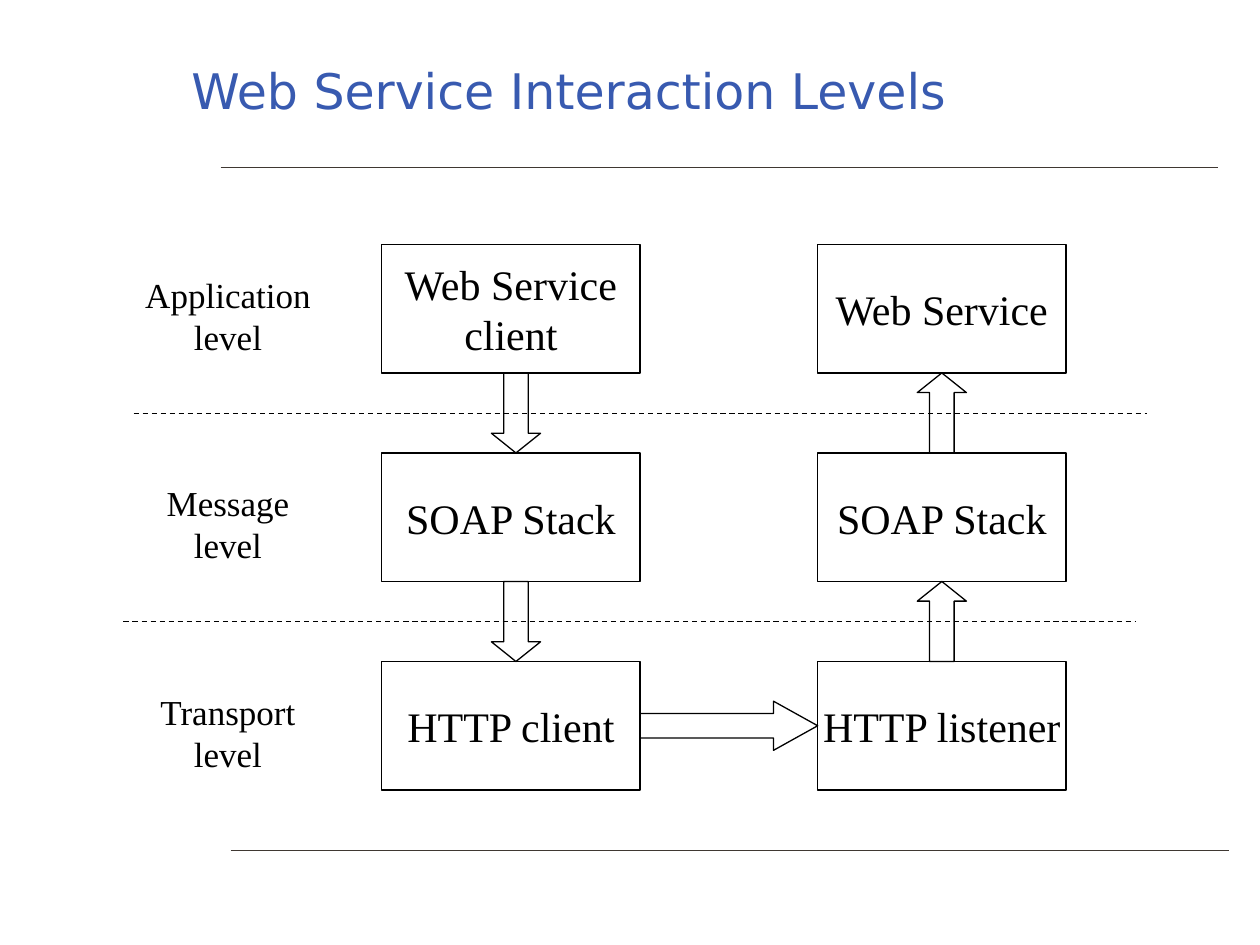
from lxml import etree
from pptx import Presentation
from pptx.dml.color import RGBColor
from pptx.enum.dml import MSO_LINE
from pptx.enum.shapes import MSO_CONNECTOR, MSO_SHAPE
from pptx.enum.text import MSO_ANCHOR, MSO_AUTO_SIZE, PP_ALIGN
from pptx.oxml.ns import qn
from pptx.util import Inches, Pt

BLACK = RGBColor(0x00, 0x00, 0x00)
BLUE = RGBColor(0x38, 0x5A, 0xB0)
GREY = RGBColor(0x3F, 0x38, 0x32)
SERIF, SANS = "Times New Roman", "DejaVu Sans"
LEFT, CENTER = PP_ALIGN.LEFT, PP_ALIGN.CENTER
TOP, MIDDLE = MSO_ANCHOR.TOP, MSO_ANCHOR.MIDDLE
GROW = MSO_AUTO_SIZE.SHAPE_TO_FIT_TEXT
RECT, DOWN = MSO_SHAPE.RECTANGLE, MSO_SHAPE.DOWN_ARROW
UP, RIGHT = MSO_SHAPE.UP_ARROW, MSO_SHAPE.RIGHT_ARROW
STRAIGHT, DASH = MSO_CONNECTOR.STRAIGHT, MSO_LINE.DASH

COLS, ROWS = 100, 75
WIDE, HIGH = Inches(10), Inches(7.5)
PITCH, BOX, SHAFT = 16.55, 10.2, 3.9
LEVELS = [
    (("Application", "level"), 15.4, ("Web Service", "client"), ("Web Service",)),
    (("Message", "level"), 12, ("SOAP Stack",), ("SOAP Stack",)),
    (("Transport", "level"), 13, ("HTTP client",), ("HTTP listener",)),
]


def grid(x, y, w, h):
    """Turn grid columns and rows into slide lengths."""
    col, row = WIDE / COLS, HIGH / ROWS
    return int(x * col), int(y * row), int(w * col), int(h * row)


def write(shape, lines, size, font, color, align, anchor, wrap=False):
    """Set the lines of text in a shape."""
    frame = shape.text_frame
    frame.word_wrap = wrap
    frame.vertical_anchor = anchor
    para = frame.paragraphs[0]
    para.alignment = align
    for i, line in enumerate(lines):
        if i:
            para.add_line_break()
        run = para.add_run()
        run.text = line
        run.font.name, run.font.size = font, Pt(size)
        run.font.color.rgb = color


def rule(slide, x, y, w, color, dash=None):
    """Draw a level line of the given width."""
    left, top, span, _ = grid(x, y, w, 0)
    line = slide.shapes.add_connector(STRAIGHT, left, top, left + span, top)
    line.line.color.rgb, line.line.width = color, Pt(0.75)
    if dash:
        line.line.dash_style = dash
    etree.SubElement(line._element.spPr, qn("a:effectLst"))


def shape(slide, kind, box, head=None):
    """Add an outlined shape, with the head length if it is an arrow."""
    item = slide.shapes.add_shape(kind, *grid(*box))
    item.shadow.inherit = False
    item.fill.background()
    item.line.color.rgb, item.line.width = BLACK, Pt(0.75)
    if head:
        item.adjustments[0], item.adjustments[1] = 0.5, head
    return item


def header(slide, box):
    """Place the title in its box."""
    item = slide.shapes.add_textbox(*grid(*box))
    write(item, ["Web Service Interaction Levels"], 28, SANS, BLUE, LEFT, MIDDLE, True)


def labels(slide, box):
    """Centre the level names in a column, one to a row."""
    x, y, w, h = box
    for i, (name, span, _, _) in enumerate(LEVELS):
        spot = (x + (w - span) / 2, y + i * PITCH, span, h)
        item = slide.shapes.add_textbox(*grid(*spot))
        write(item, name, 20, SERIF, BLACK, CENTER, TOP)
        item.text_frame.auto_size = GROW


def stack(slide, box, names, kind, mid):
    """Stack one side's boxes and join them with arrows."""
    x, y, w, h = box
    for i, name in enumerate(names):
        top = y + i * PITCH
        item = shape(slide, RECT, (x, top, w, h))
        write(item, name, 24, SERIF, BLACK, CENTER, MIDDLE)
        if i:
            gap = PITCH - h
            shape(slide, kind, (mid - SHAFT / 2, top - gap, SHAFT, gap), 0.4)


def diagram(slide, box):
    """Lay out levels, both stacks and the link between them."""
    x, y, w, h = box
    for i, shift in enumerate((0.8, 0)):
        rule(slide, x + shift, y + 13.4 + i * PITCH, 80.4, BLACK, DASH)
    labels(slide, (x + 0.6, y + 1.8, 15.4, 7.7))
    near, far = x + 20.5, x + w - 19.7
    stack(slide, (near, y, 20.5, BOX), [lv[2] for lv in LEVELS], DOWN, near + 10.65)
    stack(slide, (far, y, 19.7, BOX), [lv[3] for lv in LEVELS], UP, far + 9.85)
    edge = near + 20.5
    shape(slide, RIGHT, (edge, y + h - (BOX + SHAFT) / 2, far - edge, SHAFT), 0.9)


def main():
    """Build and save the slide."""
    deck = Presentation()
    deck.slide_width, deck.slide_height = WIDE, HIGH
    slide = deck.slides.add_slide(deck.slide_layouts[6])
    rule(slide, 18.3, 67.5, 79.2, GREY)
    rule(slide, 17.5, 13.3, 79.2, GREY)
    header(slide, (14.2, 2.5, 70, 9.2))
    diagram(slide, (9.8, 19.4, 74.8, 2 * PITCH + BOX))
    deck.save("out.pptx")


if __name__ == "__main__":
    main()
